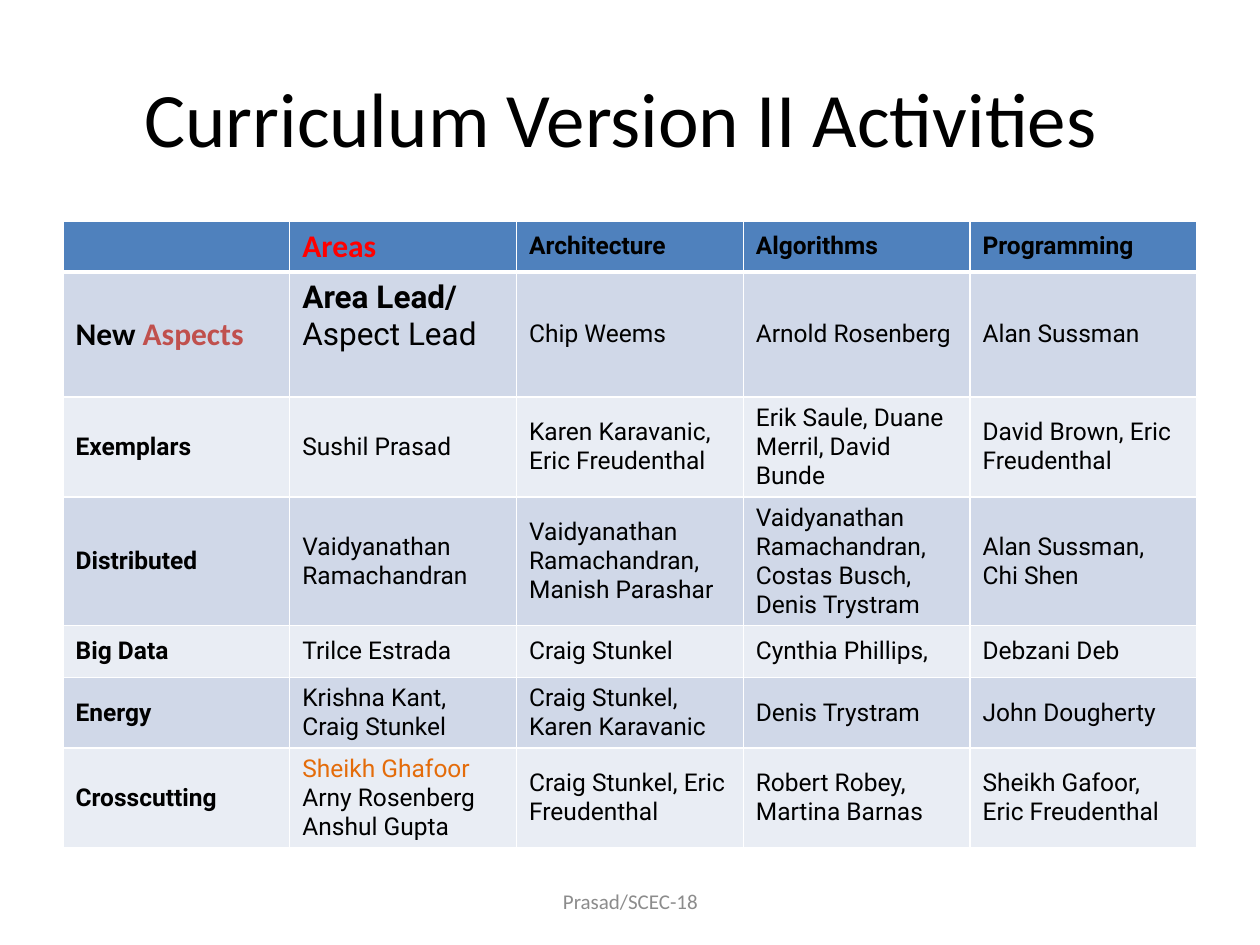
import pptx
import pptx.dml.color
import pptx.enum.text
import pptx.oxml.ns
import pptx.util
from lxml import etree

TITLE = "Curriculum Version II Activities "
FOOTER = "Prasad/SCEC-18"

# A cell is plain text, or a list of paragraphs, each a list of (text, style) runs.
ROWS = [
    ["", [[("Areas", "areas")]], "Architecture", "Algorithms", "Programming"],
    [[[("New ", "new"), ("Aspects", "aspects")]],
     [[("Area Lead/", "area lead")], [("Aspect Lead", "aspect lead")]],
     "Chip Weems", "Arnold Rosenberg", "Alan Sussman"],
    ["Exemplars", "Sushil Prasad", "Karen Karavanic, Eric Freudenthal",
     "Erik Saule, Duane Merril, David Bunde", "David Brown, Eric Freudenthal"],
    ["Distributed", "Vaidyanathan Ramachandran",
     "Vaidyanathan Ramachandran, Manish Parashar",
     "Vaidyanathan Ramachandran, Costas Busch, Denis Trystram",
     "Alan Sussman, Chi Shen"],
    ["Big Data", "Trilce Estrada", "Craig Stunkel", "Cynthia Phillips,",
     "Debzani Deb"],
    ["Energy", "Krishna Kant, Craig Stunkel", "Craig Stunkel, Karen Karavanic",
     "Denis Trystram", "John Dougherty"],
    ["Crosscutting",
     [[("Sheikh Ghafoor", "highlight")], [("Arny Rosenberg", "body")],
      [("Anshul Gupta", "body")]],
     "Craig Stunkel, Eric Freudenthal", "Robert Robey, Martina Barnas",
     "Sheikh Gafoor, Eric Freudenthal"],
]

THEME = {
    "header fill": "4F81BD",
    "band fills": ["E9EDF4", "D0D8E8"],
    "border": "FFFFFF",
    # style: (font, size, bold, colour)
    "styles": {
        "title": ("Calibri", 44, False, "000000"),
        "footer": ("Calibri", 12, False, "8C8C8C"),
        "areas": ("Calibri", 18, True, "FF0000"),
        "new": ("Calibri", 18, True, "000000"),
        "aspects": ("Calibri", 18, True, "C0504D"),
        "area lead": ("Roboto", 18, True, "000000"),
        "aspect lead": ("Roboto", 18, False, "000000"),
        "label": ("Roboto", 14, True, "000000"),
        "body": ("Roboto", 14, False, "000000"),
        "highlight": ("Roboto", 14, False, "E46C0A"),
    },
}

PX = 914400 // 126
SLIDE_SIZE = (1260, 945)
TITLE_BOX = (63, 38, 1134, 158)
FOOTER_BOX = (431, 876, 399, 50)
TABLE_LEFT, TABLE_TOP, TABLE_WIDTH = 63, 221, 1134
ROW_HEIGHTS = [50, 125, 100, 128, 52, 70, 99]
LEAD_CELL, LEAD_BOTTOM_MARGIN = (1, 1), 43

MIDDLE = pptx.enum.text.MSO_ANCHOR.MIDDLE
CENTER = pptx.enum.text.PP_ALIGN.CENTER


def px(*lengths):
    return [pptx.util.Emu(length * PX) for length in lengths]


def rgb(colour):
    return pptx.dml.color.RGBColor.from_string(colour)


def format_font(font, style):
    font.name, size, font.bold, colour = THEME["styles"][style]
    font.size = pptx.util.Pt(size)
    font.color.rgb = rgb(colour)


def write_paragraphs(text_frame, paragraphs):
    for index, runs in enumerate(paragraphs):
        paragraph = text_frame.paragraphs[0] if index == 0 else text_frame.add_paragraph()
        for text, style in runs:
            run = paragraph.add_run()
            run.text = text
            format_font(run.font, style)


def write_centred(shape, text, style):
    text_frame = shape.text_frame
    text_frame.word_wrap = True
    text_frame.vertical_anchor = MIDDLE
    write_paragraphs(text_frame, [[(text, style)]])
    text_frame.paragraphs[0].alignment = CENTER


def add_borders(cell, widths):
    """Draw the cell's borders; widths maps a side (L, R, T, B) to points."""
    properties = cell._tc.get_or_add_tcPr()
    qn = pptx.oxml.ns.qn
    for side, width in widths.items():
        line = etree.SubElement(properties, qn(f"a:ln{side}"), w=str(pptx.util.Pt(width)))
        fill = etree.SubElement(line, qn("a:solidFill"))
        etree.SubElement(fill, qn("a:srgbClr"), val=THEME["border"])


def add_activity_table(slide):
    column_count = len(ROWS[0])
    frame = slide.shapes.add_table(
        len(ROWS), column_count,
        *px(TABLE_LEFT, TABLE_TOP, TABLE_WIDTH, sum(ROW_HEIGHTS)))
    table = frame.table
    for column in table.columns:
        column.width = pptx.util.Emu(TABLE_WIDTH * PX // column_count)
    for row_index, row in enumerate(ROWS):
        table.rows[row_index].height = px(ROW_HEIGHTS[row_index])[0]
        for column_index, content in enumerate(row):
            cell = table.cell(row_index, column_index)
            add_borders(cell, {"L": 1, "R": 1,
                               "T": 3 if row_index == 1 else 1,
                               "B": 3 if row_index == 0 else 1})
            cell.fill.solid()
            cell.fill.fore_color.rgb = rgb(
                THEME["band fills"][row_index % 2] if row_index else THEME["header fill"])
            cell.vertical_anchor = MIDDLE
            if isinstance(content, str):
                style = "body" if row_index and column_index else "label"
                content = [[(content, style)]] if content else []
            write_paragraphs(cell.text_frame, content)
    table.cell(*LEAD_CELL).margin_bottom = px(LEAD_BOTTOM_MARGIN)[0]


def main():
    presentation = pptx.Presentation()
    presentation.slide_width, presentation.slide_height = px(*SLIDE_SIZE)
    slide = presentation.slides.add_slide(presentation.slide_layouts[5])

    title = slide.shapes.title
    title.left, title.top, title.width, title.height = px(*TITLE_BOX)
    write_centred(title, TITLE, "title")

    add_activity_table(slide)
    write_centred(slide.shapes.add_textbox(*px(*FOOTER_BOX)), FOOTER, "footer")
    presentation.save("out.pptx")


if __name__ == "__main__":
    main()
